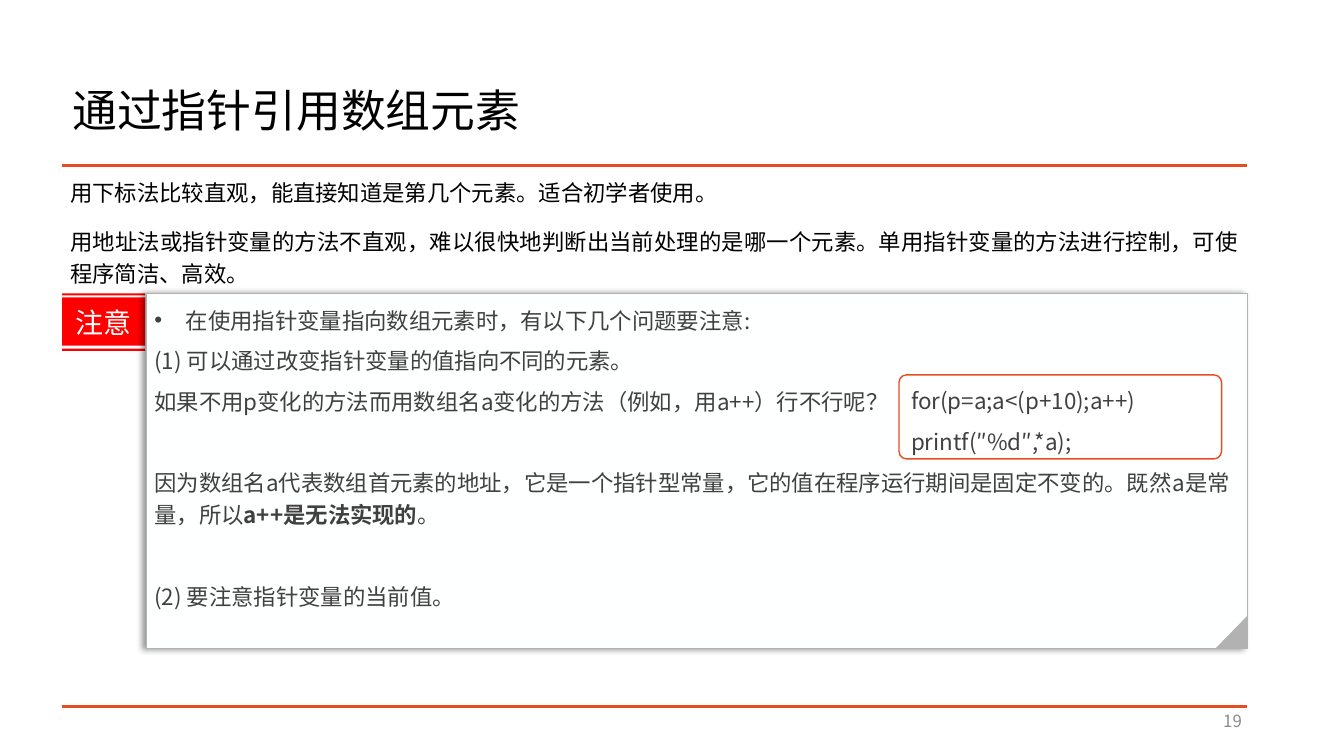
from dataclasses import dataclass
from typing import Optional

from lxml.etree import SubElement
from pptx import Presentation
from pptx.dml.color import RGBColor
from pptx.enum.shapes import MSO_CONNECTOR, MSO_SHAPE
from pptx.enum.text import MSO_ANCHOR, MSO_AUTO_SIZE, PP_ALIGN
from pptx.oxml.ns import qn
from pptx.util import Pt

FONT = "Noto Sans CJK SC"
BLACK = RGBColor(0x00, 0x00, 0x00)
DARK_GREY = RGBColor(0x40, 0x40, 0x40)
PAGE_GREY = RGBColor(0x8C, 0x8C, 0x8C)
EDGE_GREY = RGBColor(0xB2, 0xB2, 0xB2)
ORANGE = RGBColor(0xE8, 0x4C, 0x22)
RED = RGBColor(0xFF, 0x00, 0x00)
OFF_WHITE = RGBColor(0xFE, 0xFF, 0xFF)
WHITE = RGBColor(0xFF, 0xFF, 0xFF)

LEFT, RIGHT = 44.4, 891
RULES = ((118.1, 2), (504.6, 2))
BADGE_BARS = ((209.5, 211), (212.4, 247), (249.1, 250.6))
BADGE_RIGHT = 103.7
INSET = 5.76
SKIPPED_LINE = 29


@dataclass
class Box:
    left: float
    top: float
    width: float
    height: float


@dataclass
class Line:
    text: str
    bold: str = ""
    tail: str = ""
    before: float = 0
    bullet: bool = False


@dataclass
class Style:
    size: float
    color: RGBColor
    align: PP_ALIGN = PP_ALIGN.LEFT
    anchor: MSO_ANCHOR = MSO_ANCHOR.TOP
    spacing: float = 1
    after: float = 0
    inset: Optional[float] = None


TITLE = Style(32, BLACK, anchor=MSO_ANCHOR.MIDDLE, spacing=0.9)
BODY = Style(16, BLACK, PP_ALIGN.JUSTIFY, spacing=1.2, after=6, inset=INSET)
BADGE = Style(20, OFF_WHITE, PP_ALIGN.CENTER, MSO_ANCHOR.MIDDLE)
NOTE = Style(16, DARK_GREY, spacing=1.2, after=6, inset=INSET)
CODE = Style(16, DARK_GREY, spacing=1.2, after=6)
PAGE = Style(12, PAGE_GREY, PP_ALIGN.RIGHT, MSO_ANCHOR.MIDDLE)

BODY_LINES = [
    Line("用下标法比较直观，能直接知道是第几个元素。适合初学者使用。"),
    Line("用地址法或指针变量的方法不直观，难以很快地判断出当前处理的是哪一个元素。"
         "单用指针变量的方法进行控制，可使程序简洁、高效。", before=6),
]
NOTE_LINES = [
    Line("在使用指针变量指向数组元素时，有以下几个问题要注意:", bullet=True),
    Line("(1) 可以通过改变指针变量的值指向不同的元素。"),
    Line("如果不用p变化的方法而用数组名a变化的方法（例如，用a++）行不行呢？"),
    Line("因为数组名a代表数组首元素的地址，它是一个指针型常量，"
         "它的值在程序运行期间是固定不变的。既然a是常量，所以",
         bold="a++是无法实现的", tail="。", before=SKIPPED_LINE),
    Line("(2) 要注意指针变量的当前值。", before=SKIPPED_LINE),
]
CODE_LINES = [Line("for(p=a;a<(p+10);a++)"), Line("printf(″%d″,*a);")]


def place(shape, box: Box) -> None:
    shape.left, shape.top = Pt(box.left), Pt(box.top)
    shape.width, shape.height = Pt(box.width), Pt(box.height)


def set_bullet(paragraph, bullet: bool) -> None:
    properties = paragraph._p.get_or_add_pPr()
    indent = Pt(22.5) if bullet else 0
    properties.set("marL", str(indent))
    properties.set("indent", str(-indent))
    if bullet:
        SubElement(properties, qn("a:buFont"), typeface="Arial")
        SubElement(properties, qn("a:buChar"), char="•")
    else:
        SubElement(properties, qn("a:buNone"))


def write(shape, lines: list[Line], style: Style) -> None:
    frame = shape.text_frame
    frame.word_wrap = True
    frame.auto_size = MSO_AUTO_SIZE.NONE
    frame.vertical_anchor = style.anchor
    if style.inset is not None:
        frame.margin_left = frame.margin_right = Pt(style.inset)
        frame.margin_top = frame.margin_bottom = Pt(style.inset)
    frame.text = "\n".join(line.text for line in lines)
    for line, paragraph in zip(lines, frame.paragraphs):
        set_bullet(paragraph, line.bullet)
        paragraph.alignment = style.align
        paragraph.line_spacing = style.spacing
        paragraph.space_before = Pt(line.before)
        paragraph.space_after = Pt(style.after)
        for extra in filter(None, (line.bold, line.tail)):
            paragraph.add_run().text = extra
        for run in paragraph.runs:
            run.font.size = Pt(style.size)
            run.font.bold = bool(line.bold) and run.text == line.bold
            run.font.color.rgb = style.color
            run.font.name = FONT
            SubElement(run._r.get_or_add_rPr(), qn("a:ea"), typeface=FONT)


def paint(shape, fill: RGBColor, line: Optional[RGBColor] = None, weight: float = 0) -> None:
    shape.shadow.inherit = False
    shape.fill.solid()
    shape.fill.fore_color.rgb = fill
    if line is None:
        shape.line.fill.background()
    else:
        shape.line.color.rgb = line
        shape.line.width = Pt(weight)


def add_panel(slide, kind: MSO_SHAPE, box: Box):
    shape = slide.shapes.add_shape(kind, 0, 0, 0, 0)
    place(shape, box)
    return shape


def add_rule(slide, top: float, weight: float) -> None:
    rule = slide.shapes.add_connector(
        MSO_CONNECTOR.STRAIGHT, Pt(LEFT), Pt(top), Pt(RIGHT), Pt(top))
    rule.line.color.rgb = ORANGE
    rule.line.width = Pt(weight)
    SubElement(rule._element.spPr, qn("a:effectLst"))


def add_badge(slide):
    """Draw the label as one outline made of a thin, a thick and a thin bar."""
    left, right = Pt(LEFT), Pt(BADGE_RIGHT)
    builder = slide.shapes.build_freeform(left, Pt(BADGE_BARS[0][0]))
    for index, (top, bottom) in enumerate(BADGE_BARS):
        if index:
            builder.move_to(left, Pt(top))
        builder.add_line_segments(
            [(right, Pt(top)), (right, Pt(bottom)), (left, Pt(bottom))], close=True)
    return builder.convert_to_shape()


def add_left_shadow(shape) -> None:
    effects = shape._element.spPr.find(qn("a:effectLst"))
    shadow = SubElement(effects, qn("a:outerShdw"), blurRad=str(Pt(4)),
                        dist=str(Pt(3)), dir="10800000", algn="r", rotWithShape="0")
    color = SubElement(shadow, qn("a:srgbClr"), val="000000")
    SubElement(color, qn("a:alpha"), val="40000")


def main() -> None:
    presentation = Presentation()
    presentation.slide_width, presentation.slide_height = Pt(960), Pt(540)
    slide = presentation.slides.add_slide(presentation.slide_layouts[1])

    title, body = slide.shapes.title, slide.placeholders[1]
    place(title, Box(LEFT, 43.2, 828, 74.9))
    write(title, [Line("通过指针引用数组元素")], TITLE)
    place(body, Box(LEFT, 118.1, RIGHT - LEFT, 386.5))
    write(body, BODY_LINES, BODY)
    for top, weight in RULES:
        add_rule(slide, top, weight)

    badge = add_badge(slide)
    paint(badge, RED)
    write(badge, [Line("注意")], BADGE)

    note = add_panel(slide, MSO_SHAPE.RECTANGLE, Box(104.6, 209.5, 786.4, 254))
    paint(note, OFF_WHITE, EDGE_GREY, 0.75)
    add_left_shadow(note)
    write(note, NOTE_LINES, NOTE)

    corner = add_panel(slide, MSO_SHAPE.RIGHT_TRIANGLE, Box(867.6, 440.2, 23.6, 23))
    corner.rotation = 270
    paint(corner, EDGE_GREY)

    code = add_panel(slide, MSO_SHAPE.ROUNDED_RECTANGLE, Box(642.2, 267.8, 230.4, 60))
    code.adjustments[0] = 0.09
    paint(code, WHITE, ORANGE, 1)
    write(code, CODE_LINES, CODE)

    page_number = slide.shapes.add_textbox(Pt(678.2), Pt(500.4), Pt(216), Pt(28.8))
    write(page_number, [Line("19")], PAGE)
    presentation.save("out.pptx")


if __name__ == "__main__":
    main()
